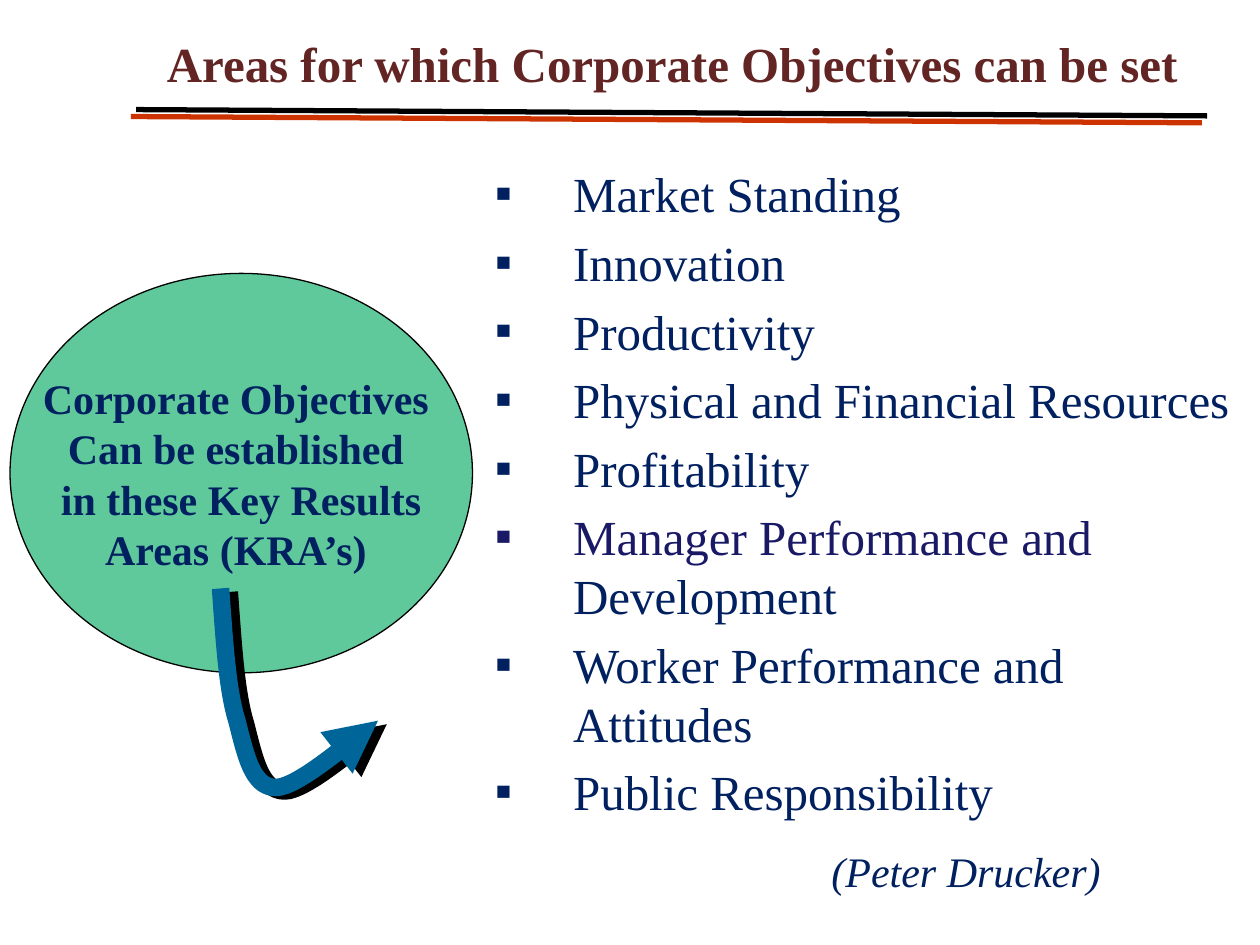
import pptx
import pptx.dml.color
import pptx.enum.shapes
import pptx.enum.text
import pptx.oxml.ns
import pptx.util
from lxml import etree

Inches, Pt = pptx.util.Inches, pptx.util.Pt
qn = pptx.oxml.ns.qn
ALIGN, ANCHOR = pptx.enum.text.PP_ALIGN, pptx.enum.text.MSO_ANCHOR

FONT = "Times New Roman"
COLORS = {
    "title": "632523", "text": "002060", "accent": "191966", "oval": "60C99C",
    "black": "000000", "rule_shadow": "CC3300", "arrow": "006699",
}

TITLE = "Areas for which Corporate Objectives can be set"
# Each area is a list of (text, color) spans.
AREAS = [
    [("Market Standing", "text")],
    [("Innovation", "text")],
    [("Productivity", "text")],
    [("Physical and Financial Resources", "text")],
    [("Profitability", "text")],
    [("Manager Performance and ", "accent"), ("Development", "text")],
    [("Worker Performance and Attitudes", "text")],
    [("Public Responsibility", "text")],
]
OVAL_LINES = ["Corporate Objectives ", "Can be established ",
              "in these Key Results", "Areas (KRA’s) "]
SOURCE = "(Peter Drucker)"

ARROW_START = (1.75, 4.67)
# Each Bezier segment: two control points and an end point.
ARROW_CURVES = [
    ((1.78, 5.06), (1.80, 5.46), (1.88, 5.72)),
    ((1.95, 5.99), (2.00, 6.25), (2.19, 6.25)),
    ((2.38, 6.25), (2.86, 5.81), (3.00, 5.72)),
]
CURVE_STEPS = 16


def color(name):
    return pptx.dml.color.RGBColor.from_string(COLORS[name])


def style(font, size, name, bold=False, italic=False):
    font.name, font.size = FONT, Pt(size)
    font.bold, font.italic = bold, italic
    font.color.rgb = color(name)


def add_box(page, left, top, width, height, wrap=True):
    frame = page.shapes.add_textbox(*map(Inches, (left, top, width, height))).text_frame
    frame.word_wrap = wrap
    return frame


def paragraphs(frame, count):
    """Return count paragraphs, the first being the one already there."""
    return [frame.paragraphs[0]] + [frame.add_paragraph() for _ in range(count - 1)]


def set_line(shape, name, width):
    shape.line.color.rgb = color(name)
    shape.line.width = Pt(width)


def add_shadow(shape, name, distance, angle):
    """Add a hard shadow; call after the line is set."""
    effects = etree.SubElement(shape._element.spPr, qn("a:effectLst"))
    shadow = etree.SubElement(effects, qn("a:outerShdw"), blurRad="0",
                              dist=str(Pt(distance)), dir=str(angle * 60000),
                              algn="ctr", rotWithShape="0")
    etree.SubElement(shadow, qn("a:srgbClr"), val=COLORS[name])


def add_bullet(para, indent):
    properties = para._p.get_or_add_pPr()
    properties.set("marL", str(Inches(indent)))
    properties.set("indent", str(-Inches(indent)))
    etree.SubElement(properties, qn("a:buFont"), typeface=FONT)
    etree.SubElement(properties, qn("a:buChar"), char="▪")


def curve_points(start, curves):
    """Sample the Bezier segments at even steps."""
    points = []
    for first, second, end in curves:
        for step in range(1, CURVE_STEPS + 1):
            t = step / CURVE_STEPS
            weights = ((1 - t) ** 3, 3 * t * (1 - t) ** 2, 3 * t * t * (1 - t), t ** 3)
            corners = (start, first, second, end)
            points.append(tuple(Inches(sum(w * corner[axis] for w, corner in zip(weights, corners)))
                                for axis in (0, 1)))
        start = end
    return points


def add_title(page):
    frame = add_box(page, 0.67, 0, 9.33, 1)
    frame.vertical_anchor = ANCHOR.MIDDLE
    para = frame.paragraphs[0]
    para.text, para.alignment = TITLE, ALIGN.CENTER
    style(para.font, 28, "title", bold=True)


def add_areas(page):
    frame = add_box(page, 3.83, 1.25, 6.08, 6.25)
    for index, (para, spans) in enumerate(zip(paragraphs(frame, len(AREAS)), AREAS)):
        add_bullet(para, 0.62)
        if index:
            para.space_before = Pt(5.6)
        for text, name in spans:
            span = para.add_run()
            span.text = text
            style(span.font, 28, name)


def add_oval(page):
    oval = page.shapes.add_shape(pptx.enum.shapes.MSO_SHAPE.OVAL,
                                 *map(Inches, (0.08, 2.17, 3.67, 3.17)))
    oval.shadow.inherit = False
    oval.fill.solid()
    oval.fill.fore_color.rgb = color("oval")
    set_line(oval, "black", 0.75)
    frame = oval.text_frame
    frame.word_wrap = False
    frame.vertical_anchor = ANCHOR.MIDDLE
    for para, text in zip(paragraphs(frame, len(OVAL_LINES)), OVAL_LINES):
        para.text, para.alignment = text, ALIGN.CENTER
        style(para.font, 24, "text", bold=True)


def add_rule(page):
    rule = page.shapes.add_connector(pptx.enum.shapes.MSO_CONNECTOR.STRAIGHT,
                                     *map(Inches, (1.08, 0.87, 9.58, 0.92)))
    set_line(rule, "black", 3)
    add_shadow(rule, "rule_shadow", 5, 127)


def add_arrow(page):
    builder = page.shapes.build_freeform(*map(Inches, ARROW_START))
    builder.add_line_segments(curve_points(ARROW_START, ARROW_CURVES), close=False)
    arrow = builder.convert_to_shape()
    arrow.fill.background()
    set_line(arrow, "arrow", 10)
    line = arrow._element.spPr.find(qn("a:ln"))
    etree.SubElement(line, qn("a:round"))
    etree.SubElement(line, qn("a:tailEnd"), type="triangle")
    add_shadow(arrow, "black", 5.4, 22)


def add_source(page):
    para = add_box(page, 6.5, 6.66, 2.58, 0.51).paragraphs[0]
    para.text = SOURCE
    style(para.font, 24, "text", italic=True)


def main():
    deck = pptx.Presentation()
    deck.slide_width, deck.slide_height = Inches(10), Inches(7.5)
    page = deck.slides.add_slide(deck.slide_layouts[6])
    for add_part in (add_title, add_areas, add_oval, add_rule, add_arrow, add_source):
        add_part(page)
    deck.save("out.pptx")


if __name__ == "__main__":
    main()
